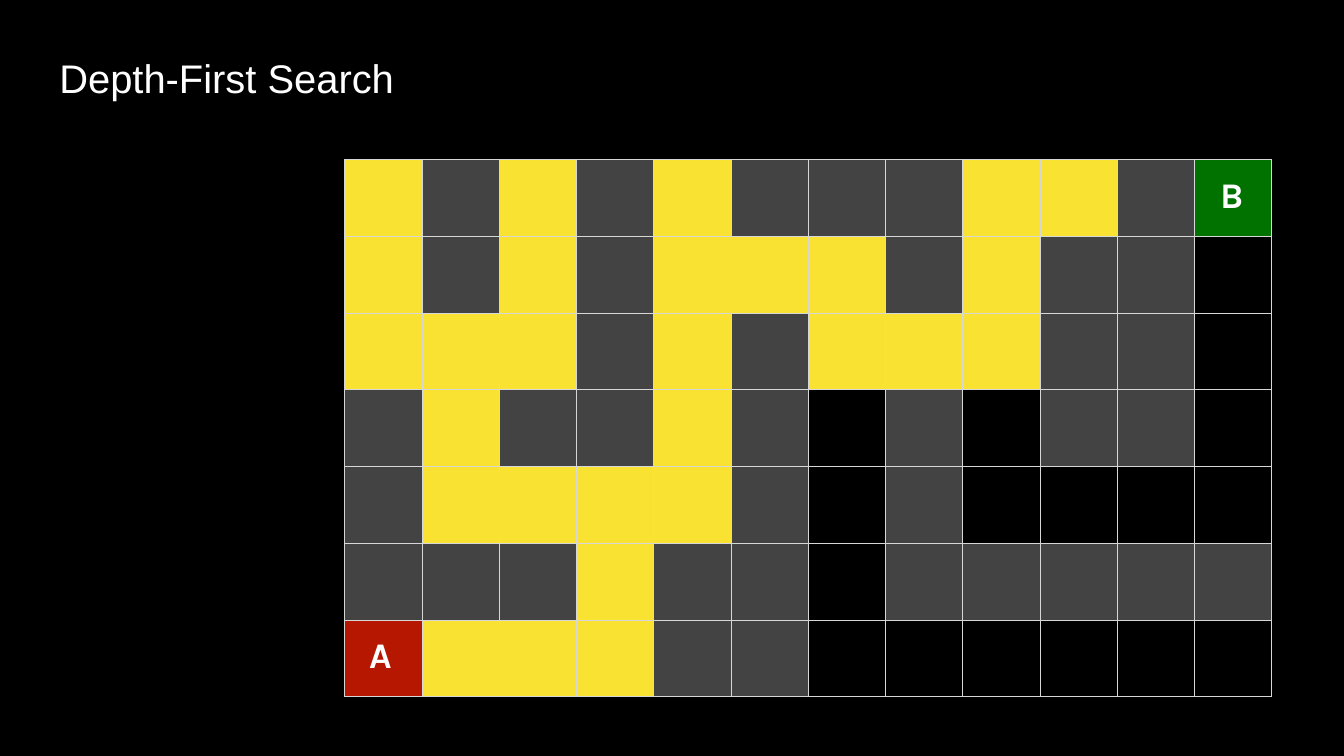
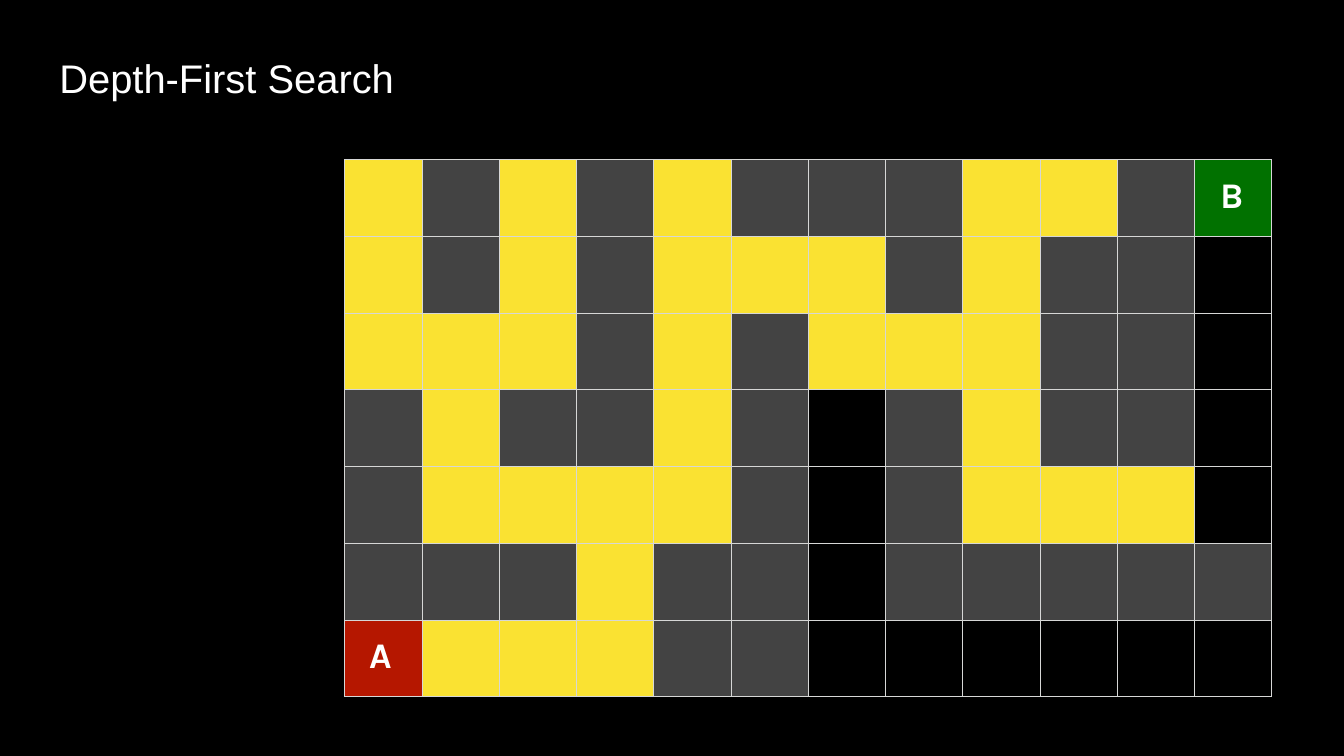
from lxml.etree import SubElement
from pptx import Presentation
from pptx.dml.color import RGBColor as Rgb
from pptx.enum.text import MSO_ANCHOR as Anchor, PP_ALIGN as Align
from pptx.oxml.ns import qn
from pptx.util import Inches, Pt

SLIDE_WIDTH, SLIDE_HEIGHT = 21.99, 12.37
TITLE_ONLY = 5
COLORS = {
    "background": "000000",
    "text": "FFFFFF",
    "border": "D6D7D6",
    "wall": "434343",
    "explored": "FAE232",
    "start": "B51700",
    "goal": "017100",
}
TITLE_BOX = (0.68, 0.43, 12.93, 1.78)
MAZE_BOX = (5.64, 2.61, 15.17, 8.79)
MAZE = [
    "1#1#1###11#B",
    "1#1#111#1##.",
    "111#1#111##.",
    "#1##1#.#2##.",
    "#1111#.#222.",
    "###1##.#####",
    "A111##......",
]
MARKERS = {"A": ("start", 0.40), "B": ("goal", 0.42)}
STEPS = [1, 2]


def color(name):
    """Return the named colour."""
    return Rgb.from_string(COLORS[name])


def write_text(frame, text, font="Arial", size=47, bold=False):
    """Write one formatted line of text into a text frame."""
    paragraph = frame.paragraphs[0]
    paragraph.text = text
    paragraph.alignment = Align.LEFT
    paragraph.font.name = font
    paragraph.font.size = Pt(size)
    paragraph.font.bold = bold
    paragraph.font.color.rgb = color("text")


def set_borders(cell, width=1):
    """Draw a solid border on all four sides of a cell."""
    properties = cell._tc.get_or_add_tcPr()
    for side in ("a:lnL", "a:lnR", "a:lnT", "a:lnB"):
        line = SubElement(properties, qn(side), w=str(Pt(width)))
        fill = SubElement(line, qn("a:solidFill"))
        SubElement(fill, qn("a:srgbClr"), val=COLORS["border"])


def cell_role(symbol, step):
    """Return the colour name of a maze symbol at a search step, if any."""
    if symbol in MARKERS:
        return MARKERS[symbol][0]
    if symbol == "#":
        return "wall"
    return "explored" if symbol.isdigit() and int(symbol) <= step else None


def format_cell(cell, symbol, step):
    """Colour one maze cell and write its marker letter."""
    set_borders(cell)
    role = cell_role(symbol, step)
    if role:
        cell.fill.solid()
        cell.fill.fore_color.rgb = color(role)
    else:
        cell.fill.background()
    if symbol in MARKERS:
        cell.margin_left = Inches(MARKERS[symbol][1])
        cell.margin_top = Inches(0.26)
        cell.margin_right = cell.margin_bottom = 0
        write_text(cell.text_frame, symbol, font="Karla", size=42.5, bold=True)


def add_maze(slide, box, step):
    """Add the maze as a table with equal cells that fill the box."""
    left, top, width, height = (Inches(value) for value in box)
    rows, columns = len(MAZE), len(MAZE[0])
    table = slide.shapes.add_table(rows, columns, left, top, width, height).table
    table.first_row = table.horz_banding = False
    for row, symbols in enumerate(MAZE):
        for column, symbol in enumerate(symbols):
            format_cell(table.cell(row, column), symbol, step)


def place_title(slide, box, text):
    """Place and format the title placeholder."""
    title = slide.shapes.title
    title.left, title.top, title.width, title.height = (Inches(value) for value in box)
    frame = title.text_frame
    frame.word_wrap = True
    frame.vertical_anchor = Anchor.TOP
    frame.margin_left, frame.margin_top = Inches(0.29), Inches(0.44)
    frame.margin_right = frame.margin_bottom = 0
    write_text(frame, text)


def add_search_slide(presentation, step):
    """Add a slide that shows the maze at one search step."""
    slide = presentation.slides.add_slide(presentation.slide_layouts[TITLE_ONLY])
    place_title(slide, TITLE_BOX, "Depth-First Search")
    add_maze(slide, MAZE_BOX, step)


def main():
    """Build and save the presentation."""
    presentation = Presentation()
    presentation.slide_width = Inches(SLIDE_WIDTH)
    presentation.slide_height = Inches(SLIDE_HEIGHT)
    background = presentation.slide_master.background.fill
    background.solid()
    background.fore_color.rgb = color("background")
    for step in STEPS:
        add_search_slide(presentation, step)
    presentation.save("out.pptx")


if __name__ == "__main__":
    main()
